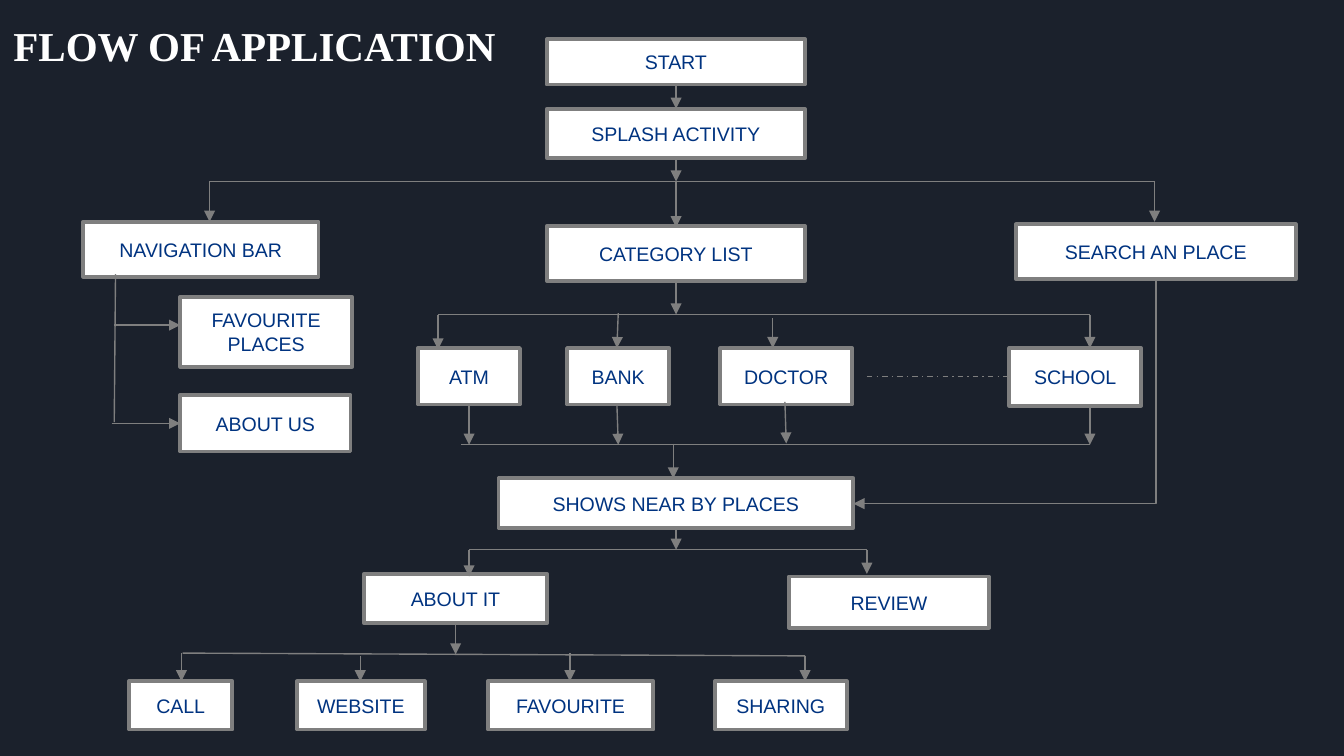
from dataclasses import dataclass

import lxml.etree
import pptx
import pptx.dml.color
import pptx.enum.dml
import pptx.enum.shapes
import pptx.enum.text
import pptx.oxml.ns
import pptx.util

Pt = pptx.util.Pt
Color = pptx.dml.color.RGBColor


@dataclass(frozen=True)
class Theme:
    background: Color = Color.from_string("1B212C")
    box_fill: Color = Color.from_string("FFFFFF")
    line: Color = Color.from_string("7F7F7F")
    label: Color = Color.from_string("003380")
    title: Color = Color.from_string("FFFFFF")
    label_font: str = "Arial"
    title_font: str = "Times New Roman"
    label_size: float = 10.5
    title_size: float = 22
    border_width: float = 2
    line_width: float = 0.75


@dataclass(frozen=True)
class Box:
    label: str
    left: float
    top: float
    width: float
    height: float


@dataclass(frozen=True)
class Line:
    start_x: float
    start_y: float
    end_x: float
    end_y: float
    arrow: bool = True
    dashed: bool = False


THEME = Theme()
CENTER = 362.2
MAIN_LEFT, MAIN_WIDTH = 293, 138.2
SPLIT_Y, CATEGORY_Y, MERGE_Y, RESULT_Y = 97.2, 168.5, 238.3, 294.5
PLACE_TOP, PLACE_BOTTOM = 186.5, 216.7
ACTION_TOP = 365

BOXES = [
    Box("START", MAIN_LEFT, 20.9, MAIN_WIDTH, 24.5),
    Box("SPLASH ACTIVITY", MAIN_LEFT, 58.3, MAIN_WIDTH, 26.6),
    Box("NAVIGATION BAR", 44.6, 118.8, 126, 29.5),
    Box("CATEGORY LIST", MAIN_LEFT, 121, MAIN_WIDTH, 29.5),
    Box("SEARCH AN PLACE", 544.3, 120.2, 149.8, 29.5),
    Box("FAVOURITE PLACES", 96.5, 159.1, 92.2, 37.4),
    Box("ABOUT US", 96.5, 211.7, 91.4, 30.2),
    Box("ATM", 223.9, PLACE_TOP, 54.7, 30.2),
    Box("BANK", 303.8, PLACE_TOP, 54.7, 30.2),
    Box("DOCTOR", 385.9, PLACE_TOP, 70.6, 30.2),
    Box("SCHOOL", 540.7, PLACE_TOP, 70.6, 30.9),
    Box("SHOWS NEAR BY PLACES", 267.1, 256.3, 190.1, 26.6),
    Box("ABOUT IT", 195.1, 307.4, 97.9, 26.6),
    Box("REVIEW", 422.6, 308.9, 107.3, 27.4),
    Box("CALL", 69.1, ACTION_TOP, 55.4, 25.9),
    Box("WEBSITE", 159.1, ACTION_TOP, 68.4, 25.9),
    Box("FAVOURITE", 261.4, ACTION_TOP, 88.6, 25.9),
    Box("SHARING", 383, ACTION_TOP, 70.6, 25.9),
]


def down(x: float, top: float, bottom: float) -> Line:
    return Line(x, top, x, bottom)


def rail(left: float, right: float, y: float) -> Line:
    return Line(left, y, right, y, arrow=False)


LINES = [
    down(CENTER, 45.4, 58.3),
    down(CENTER, 85, SPLIT_Y),
    rail(112.3, 618.5, SPLIT_Y),
    down(112.3, SPLIT_Y, 118.8),
    down(CENTER, SPLIT_Y, 121.7),
    down(618.5, SPLIT_Y, 118.8),
    Line(61.9, 146.9, 61.2, 226.1, arrow=False),
    Line(61.2, 174.2, 96.5, 174.2),
    Line(59.8, 226.8, 96.5, 226.8),
    down(CENTER, 150.5, CATEGORY_Y),
    rail(234.7, 583.9, CATEGORY_Y),
    down(234.7, CATEGORY_Y, 187.2),
    Line(331.2, 167.8, 330.5, PLACE_TOP),
    down(414, 170.6, PLACE_TOP),
    down(583.9, CATEGORY_Y, PLACE_TOP),
    Line(464.4, 201.6, 540.7, 201.6, arrow=False, dashed=True),
    down(251.3, PLACE_BOTTOM, MERGE_Y),
    Line(330.5, PLACE_BOTTOM, 331.2, MERGE_Y),
    Line(420.5, 215.3, 421.2, 237.6),
    down(583.9, PLACE_BOTTOM, MERGE_Y),
    rail(247, 583.9, MERGE_Y),
    down(360.7, 237.6, 256.3),
    down(CENTER, 283, RESULT_Y),
    rail(251.3, 464.4, RESULT_Y),
    down(251.3, RESULT_Y, 308.9),
    down(464.4, RESULT_Y, 307.4),
    down(244.1, 334.1, 350.6),
    Line(97.9, 349.9, 431.3, 351.4, arrow=False),
    down(97.2, 349.9, ACTION_TOP),
    down(193, 351.4, ACTION_TOP),
    down(305.3, 349.9, ACTION_TOP),
    down(431.3, 351.4, ACTION_TOP),
]


def add_title(slide: pptx.slide.Slide, text: str) -> None:
    title = slide.shapes.title
    title.left, title.top, title.width, title.height = Pt(0), Pt(7.2), Pt(288), Pt(33.8)
    frame = title.text_frame
    frame.text = text
    frame.auto_size = pptx.enum.text.MSO_AUTO_SIZE.NONE
    frame.vertical_anchor = pptx.enum.text.MSO_ANCHOR.TOP
    paragraph = frame.paragraphs[0]
    paragraph.alignment = pptx.enum.text.PP_ALIGN.LEFT
    paragraph.font.name = THEME.title_font
    paragraph.font.size = Pt(THEME.title_size)
    paragraph.font.bold = True
    paragraph.font.color.rgb = THEME.title


def add_box(slide: pptx.slide.Slide, box: Box) -> None:
    shape = slide.shapes.add_shape(
        pptx.enum.shapes.MSO_SHAPE.RECTANGLE,
        Pt(box.left), Pt(box.top), Pt(box.width), Pt(box.height),
    )
    shape.shadow.inherit = False
    shape.fill.solid()
    shape.fill.fore_color.rgb = THEME.box_fill
    shape.line.color.rgb = THEME.line
    shape.line.width = Pt(THEME.border_width)
    frame = shape.text_frame
    frame.text = box.label
    frame.word_wrap = True
    frame.vertical_anchor = pptx.enum.text.MSO_ANCHOR.MIDDLE
    paragraph = frame.paragraphs[0]
    paragraph.alignment = pptx.enum.text.PP_ALIGN.CENTER
    paragraph.font.name = THEME.label_font
    paragraph.font.size = Pt(THEME.label_size)
    paragraph.font.color.rgb = THEME.label


def add_line(slide: pptx.slide.Slide, line: Line) -> pptx.shapes.connector.Connector:
    connector = slide.shapes.add_connector(
        pptx.enum.shapes.MSO_CONNECTOR.STRAIGHT,
        Pt(line.start_x), Pt(line.start_y), Pt(line.end_x), Pt(line.end_y),
    )
    connector.line.color.rgb = THEME.line
    connector.line.width = Pt(THEME.line_width)
    if line.dashed:
        connector.line.dash_style = pptx.enum.dml.MSO_LINE.DASH_DOT
    qualified = pptx.oxml.ns.qn
    properties = connector._element.spPr
    if line.arrow:
        outline = properties.find(qualified("a:ln"))
        lxml.etree.SubElement(outline, qualified("a:tailEnd"), type="triangle")
    lxml.etree.SubElement(properties, qualified("a:effectLst"))
    return connector


def add_down_left_elbow(slide: pptx.slide.Slide, line: Line) -> None:
    width, height = line.end_y - line.start_y, line.start_x - line.end_x
    left = (line.start_x + line.end_x - width) / 2
    top = (line.start_y + line.end_y - height) / 2
    connector = add_line(slide, Line(left, top, left + width, top + height))
    properties = connector._element.spPr
    properties.find(pptx.oxml.ns.qn("a:prstGeom")).set("prst", "bentConnector2")
    properties.find(pptx.oxml.ns.qn("a:xfrm")).set("rot", str(90 * 60000))


def main() -> None:
    presentation = pptx.Presentation()
    presentation.slide_width, presentation.slide_height = Pt(720), Pt(405)
    slide = presentation.slides.add_slide(presentation.slide_layouts.get_by_name("Title Only"))
    slide.background.fill.solid()
    slide.background.fill.fore_color.rgb = THEME.background
    add_title(slide, "FLOW OF APPLICATION")
    for box in BOXES:
        add_box(slide, box)
    for line in LINES:
        add_line(slide, line)
    add_down_left_elbow(slide, Line(619.2, 149.8, 457.2, 269.8))
    presentation.save("out.pptx")


if __name__ == "__main__":
    main()
